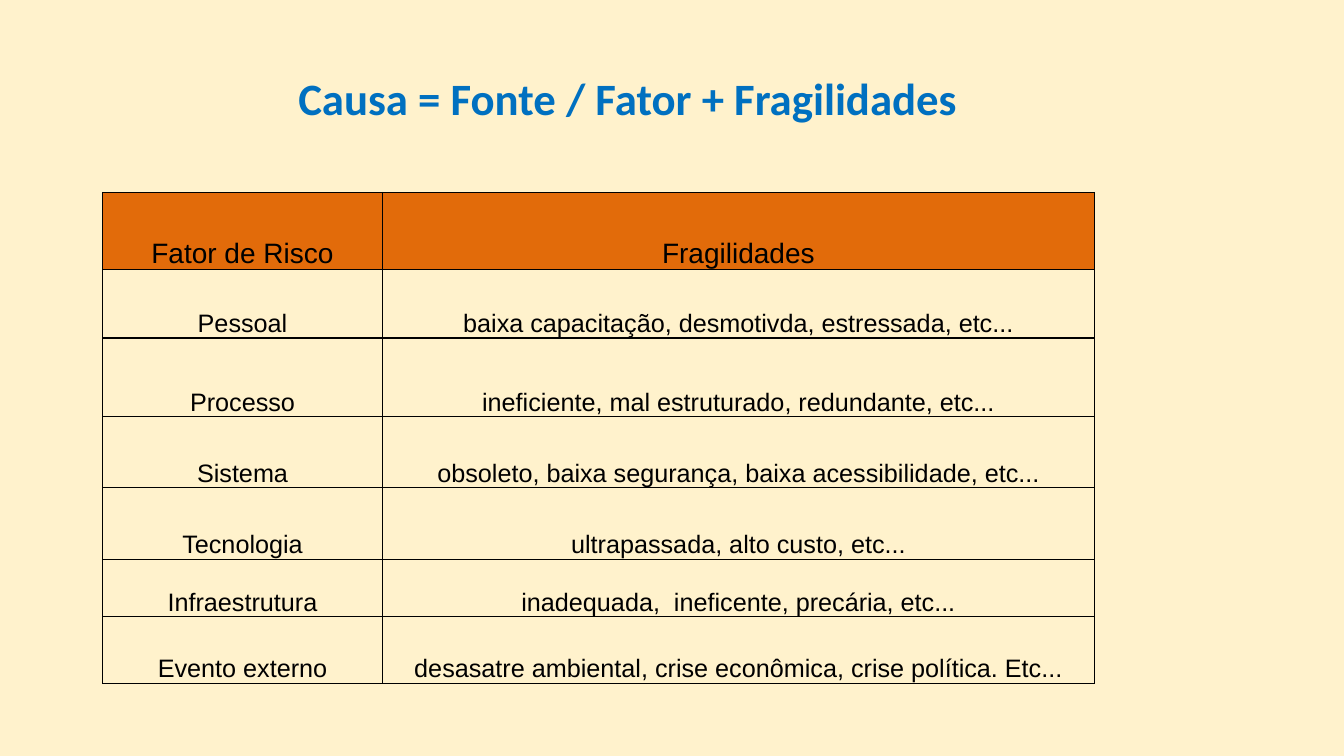
from lxml import etree
from pptx import Presentation
from pptx.dml.color import RGBColor
from pptx.enum import text
from pptx.oxml import ns
from pptx.util import Pt

BACKGROUND = "FFF2CC"
TITLE_BLUE = "0070C0"
HEADER_ORANGE = "E26B0A"
BLACK = "000000"

COLUMN_WIDTHS = [199.5, 509]
RISK_ROWS = [
    (55, "Fator de Risco", "Fragilidades"),
    (49, "Pessoal", "baixa capacitação, desmotivda, estressada, etc..."),
    (56, "Processo", "ineficiente, mal estruturado, redundante, etc..."),
    (51, "Sistema", "obsoleto, baixa segurança, baixa acessibilidade, etc..."),
    (51, "Tecnologia", "ultrapassada, alto custo, etc..."),
    (41, "Infraestrutura", "inadequada,  ineficente, precária, etc..."),
    (47.5, "Evento externo",
     "desasatre ambiental, crise econômica, crise política. Etc..."),
]


def rgb(value):
    return RGBColor.from_string(value)


def write_centred(tf, words, size, font, color, bold=False):
    p = tf.paragraphs[0]
    p.alignment = text.PP_ALIGN.CENTER
    r = p.add_run()
    r.text = words
    r.font.size = Pt(size)
    r.font.name = font
    r.font.bold = bold
    r.font.color.rgb = rgb(color)
    return p


def add_title(s, words):
    sp = s.shapes.add_textbox(Pt(88.5), Pt(41), Pt(720), Pt(52))
    tf = sp.text_frame
    tf.word_wrap = True
    tf.vertical_anchor = text.MSO_ANCHOR.BOTTOM
    p = write_centred(tf, words, 32, "Calibri", TITLE_BLUE, bold=True)
    p.line_spacing = 0.9


def add_borders(cell, color, width):
    tc_pr = cell._tc.get_or_add_tcPr()
    for side in ("a:lnL", "a:lnR", "a:lnT", "a:lnB"):
        line = etree.SubElement(tc_pr, ns.qn(side), w=str(Pt(width)))
        fill = etree.SubElement(line, ns.qn("a:solidFill"))
        etree.SubElement(fill, ns.qn("a:srgbClr"), val=color)


def fill_cell(cell, words, is_header):
    cell.margin_left = cell.margin_right = Pt(0)
    cell.margin_top = cell.margin_bottom = Pt(0)
    cell.vertical_anchor = text.MSO_ANCHOR.BOTTOM
    add_borders(cell, BLACK, 1)
    if is_header:
        cell.fill.solid()
        cell.fill.fore_color.rgb = rgb(HEADER_ORANGE)
    else:
        cell.fill.background()
    write_centred(cell.text_frame, words, 20 if is_header else 18, "Arial", BLACK)


def add_risk_table(s):
    height = sum(row[0] for row in RISK_ROWS)
    frame = s.shapes.add_table(len(RISK_ROWS), len(COLUMN_WIDTHS), Pt(73.5),
                               Pt(137.5), Pt(sum(COLUMN_WIDTHS)), Pt(height))
    table = frame.table
    table.first_row = False
    table.horz_banding = False
    for column, width in zip(table.columns, COLUMN_WIDTHS):
        column.width = Pt(width)
    for i, (row_height, *words) in enumerate(RISK_ROWS):
        table.rows[i].height = Pt(row_height)
        for j, entry in enumerate(words):
            fill_cell(table.cell(i, j), entry, i == 0)


def main():
    prs = Presentation()
    prs.slide_width, prs.slide_height = Pt(960), Pt(540)
    s = prs.slides.add_slide(prs.slide_layouts[6])
    s.background.fill.solid()
    s.background.fill.fore_color.rgb = rgb(BACKGROUND)
    add_title(s, "Causa = Fonte / Fator + Fragilidades")
    add_risk_table(s)
    prs.save("out.pptx")


if __name__ == "__main__":
    main()
